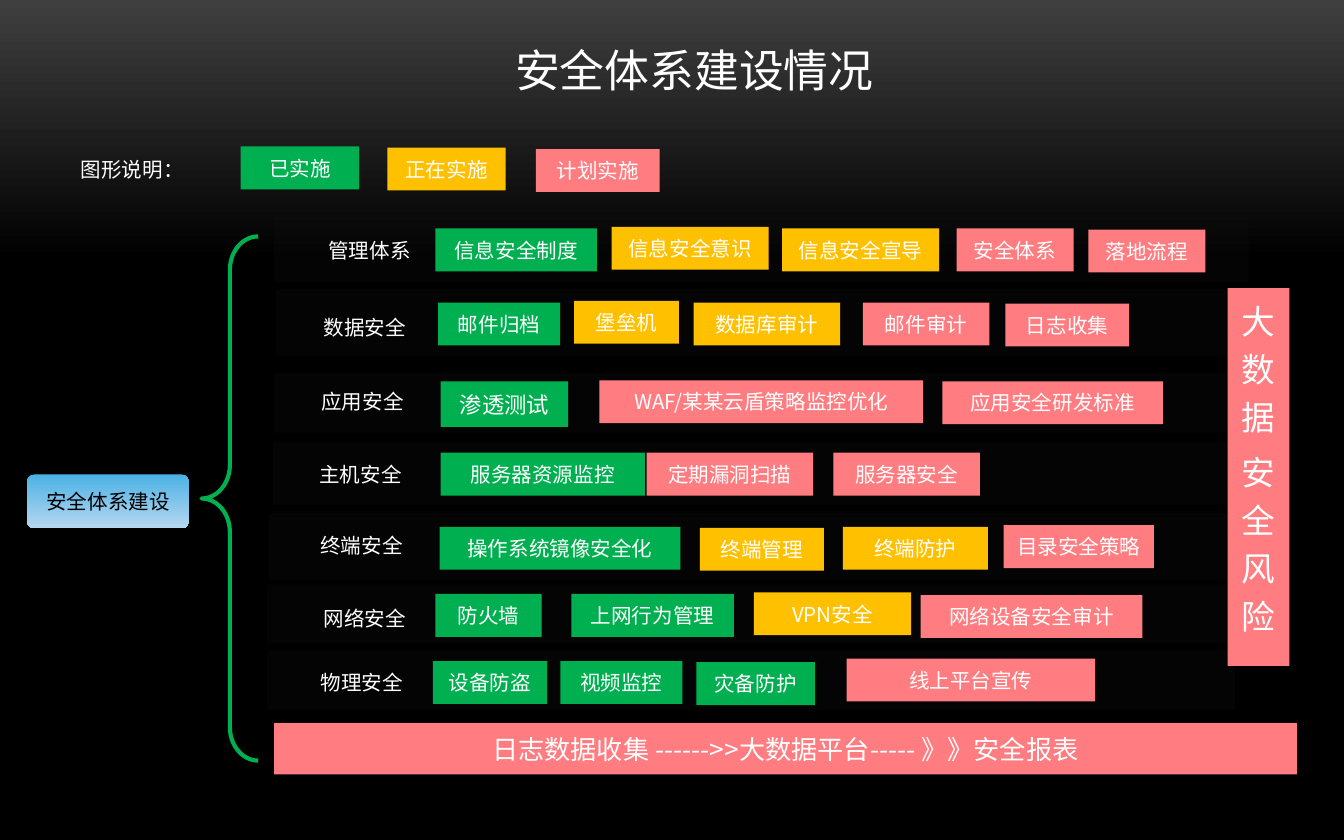
from dataclasses import dataclass
from typing import NamedTuple

from lxml.etree import SubElement
from pptx import Presentation
from pptx.dml.color import RGBColor as RGB
from pptx.enum.shapes import MSO_SHAPE as Shape
from pptx.enum.text import MSO_ANCHOR as Anchor, PP_ALIGN as Align
from pptx.oxml.ns import qn
from pptx.util import Cm, Pt


@dataclass(frozen=True)
class Theme:
    font: str = "Noto Sans CJK SC"
    white: str = "FFFFFF"
    black: str = "000000"
    backdrop_top: str = "3F3F3F"
    panel: str = "0D0D0D"
    panel_opacity: int = 35
    root_top: str = "4AB1E4"
    root_bottom: str = "B5D7F0"
    done: str = "00B050"
    ongoing: str = "FFC000"
    planned: str = "FF7C80"
    body: int = 11
    emphasis: int = 12
    flow: int = 14
    risk: int = 18
    title: int = 24


THEME = Theme()
DONE, ONGOING, PLANNED = THEME.done, THEME.ongoing, THEME.planned
CHIP_HEIGHT = 0.81


class Box(NamedTuple):
    """Left, top, width and height in centimetres."""
    left: float
    top: float
    width: float
    height: float = CHIP_HEIGHT

    def lengths(self) -> list:
        return [Cm(value) for value in self]


class Chip(NamedTuple):
    text: str
    color: str
    box: Box
    size: int = THEME.body


class Row(NamedTuple):
    name: str
    label: Box
    panel: Box
    chips: list


LEGEND = [
    Chip("已实施", DONE, Box(4.55, 2.77, 2.24)),
    Chip("正在实施", ONGOING, Box(7.32, 2.79, 2.24)),
    Chip("计划实施", PLANNED, Box(10.13, 2.82, 2.34)),
]

ROWS = [
    Row("管理体系", Box(5.18, 4.32, 3.61), Box(5.18, 4.09, 18.42, 1.24), [
        Chip("信息安全制度", DONE, Box(8.23, 4.32, 3.05)),
        Chip("信息安全意识", ONGOING, Box(11.56, 4.29, 2.97)),
        Chip("信息安全宣导", ONGOING, Box(14.78, 4.32, 2.97)),
        Chip("安全体系", PLANNED, Box(18.08, 4.32, 2.21)),
        Chip("落地流程", PLANNED, Box(20.57, 4.34, 2.21)),
    ]),
    Row("数据安全", Box(5.11, 5.79, 3.58), Box(5.21, 5.46, 18.26, 1.27), [
        Chip("邮件归档", DONE, Box(8.28, 5.72, 2.31)),
        Chip("堡垒机", ONGOING, Box(10.85, 5.69, 1.98)),
        Chip("数据库审计", ONGOING, Box(13.11, 5.72, 2.77)),
        Chip("邮件审计", PLANNED, Box(16.31, 5.72, 2.39)),
        Chip("日志收集", PLANNED, Box(19, 5.74, 2.34)),
    ]),
    Row("应用安全", Box(5.05, 7.19, 3.61), Box(5.18, 7.04, 18.39, 1.14), [
        Chip("渗透测试", DONE, Box(8.33, 7.21, 2.41, 0.86), THEME.emphasis),
        Chip("WAF/某某云盾策略监控优化", PLANNED, Box(11.33, 7.19, 6.12)),
        Chip("应用安全研发标准", PLANNED, Box(17.81, 7.21, 4.17)),
    ]),
    Row("主机安全", Box(5.05, 8.56, 3.53), Box(5.16, 8.36, 18.06, 1.19), [
        Chip("服务器资源监控", DONE, Box(8.33, 8.56, 3.86)),
        Chip("定期漏洞扫描", PLANNED, Box(12.22, 8.56, 3.15)),
        Chip("服务器安全", PLANNED, Box(15.75, 8.56, 2.77)),
    ]),
    Row("终端安全", Box(5.36, 9.91, 2.95), Box(5.08, 9.7, 18.57, 1.27), [
        Chip("操作系统镜像安全化", DONE, Box(8.31, 9.96, 4.55)),
        Chip("终端管理", ONGOING, Box(13.23, 9.98, 2.34)),
        Chip("终端防护", ONGOING, Box(15.93, 9.96, 2.74)),
        Chip("目录安全策略", PLANNED, Box(18.97, 9.93, 2.84)),
    ]),
    Row("网络安全", Box(5.56, 11.28, 2.67), Box(5.05, 11.05, 18.16, 1.12), [
        Chip("防火墙", DONE, Box(8.23, 11.23, 2.01)),
        Chip("上网行为管理", DONE, Box(10.8, 11.23, 3.07)),
        Chip("VPN安全", ONGOING, Box(14.25, 11.2, 2.97)),
        Chip("网络设备安全审计", PLANNED, Box(17.4, 11.25, 4.19)),
    ]),
    Row("物理安全", Box(5.05, 12.5, 3.58), Box(5.05, 12.29, 18.29, 1.14), [
        Chip("设备防盗", DONE, Box(8.18, 12.5, 2.16)),
        Chip("视频监控", DONE, Box(10.59, 12.5, 2.31)),
        Chip("灾备防护", DONE, Box(13.16, 12.52, 2.24)),
        Chip("线上平台宣传", PLANNED, Box(16, 12.45, 4.7)),
    ]),
]

FLOW = Chip("日志数据收集 ------>>大数据平台----- 》》安全报表", PLANNED,
            Box(5.18, 13.67, 19.33, 0.97), THEME.flow)
RISK = Chip("大数据\n安全风险", PLANNED, Box(23.2, 5.45, 1.17, 7.14), THEME.risk)


def write(shape, text: str, size: int, color: str = THEME.white) -> None:
    """Fill the shape with centred text."""
    frame = shape.text_frame
    frame.text = text
    frame.word_wrap = True
    frame.vertical_anchor = Anchor.MIDDLE
    frame.margin_left = frame.margin_right = frame.margin_top = frame.margin_bottom = 0
    for paragraph in frame.paragraphs:
        paragraph.alignment = Align.CENTER
        for run in paragraph.runs:
            run.font.size = Pt(size)
            run.font.name = THEME.font
            run.font.color.rgb = RGB.from_string(color)
            properties = run.font._element
            SubElement(properties, qn("a:ea")).set("typeface", THEME.font)


def add_label(slide, text: str, box: Box, size: int = THEME.body) -> None:
    write(slide.shapes.add_textbox(*box.lengths()), text, size)


def add_plain(slide, kind, box: Box):
    """Add a preset shape without line or shadow."""
    shape = slide.shapes.add_shape(kind, *box.lengths())
    shape.shadow.inherit = False
    shape.line.fill.background()
    return shape


def add_filled(slide, box: Box, color: str):
    shape = add_plain(slide, Shape.RECTANGLE, box)
    shape.fill.solid()
    shape.fill.fore_color.rgb = RGB.from_string(color)
    return shape


def add_chip(slide, chip: Chip):
    shape = add_filled(slide, chip.box, chip.color)
    write(shape, chip.text, chip.size)
    return shape


def add_panel(slide, box: Box) -> None:
    shape = add_filled(slide, box, THEME.panel)
    color = shape._element.spPr.find(qn("a:solidFill"))[0]
    SubElement(color, qn("a:alpha")).set("val", str(THEME.panel_opacity * 1000))


def shade_down(fill, top: str, bottom: str, end: float = 1.0) -> None:
    """Apply a gradient from top to bottom that is complete at end."""
    fill.gradient()
    fill.gradient_angle = 270
    for stop, color, position in zip(fill.gradient_stops, (top, bottom), (0, end)):
        stop.color.rgb = RGB.from_string(color)
        stop.position = position


def add_root(slide) -> None:
    root = add_plain(slide, Shape.ROUNDED_RECTANGLE, Box(0.51, 8.97, 3.07, 1.02))
    root.adjustments[0] = 0.14
    shade_down(root.fill, THEME.root_top, THEME.root_bottom)
    write(root, "安全体系建设", THEME.body, THEME.black)

    brace = add_plain(slide, Shape.LEFT_BRACE, Box(3.81, 4.47, 1.07, 9.91))
    brace.adjustments[0] = 0.59
    brace.adjustments[1] = 0.5
    brace.fill.background()
    brace.line.color.rgb = RGB.from_string(DONE)
    brace.line.width = Pt(2.25)


def add_risk_bar(slide) -> None:
    """Add the narrow bar in which every character takes its own line."""
    frame = add_chip(slide, RISK).text_frame
    frame.vertical_anchor = Anchor.TOP
    frame.margin_top = Cm(0.1)
    for paragraph in frame.paragraphs:
        paragraph.line_spacing = Pt(25.7)
        paragraph.space_before = Pt(3.6)


def main() -> None:
    presentation = Presentation()
    presentation.slide_width, presentation.slide_height = Cm(25.4), Cm(15.88)
    slide = presentation.slides.add_slide(presentation.slide_layouts[6])
    shade_down(slide.background.fill, THEME.backdrop_top, THEME.black, 0.31)

    add_label(slide, "安全体系建设情况", Box(9.45, 0.69, 7.34, 1.27), THEME.title)
    add_label(slide, "图形说明：", Box(1.27, 2.79, 2.46))
    for chip in LEGEND:
        add_chip(slide, chip)
    add_root(slide)
    for row in ROWS:
        add_panel(slide, row.panel)
        add_label(slide, row.name, row.label)
        for chip in row.chips:
            add_chip(slide, chip)
    add_risk_bar(slide)
    add_chip(slide, FLOW)
    presentation.save("out.pptx")


if __name__ == "__main__":
    main()
